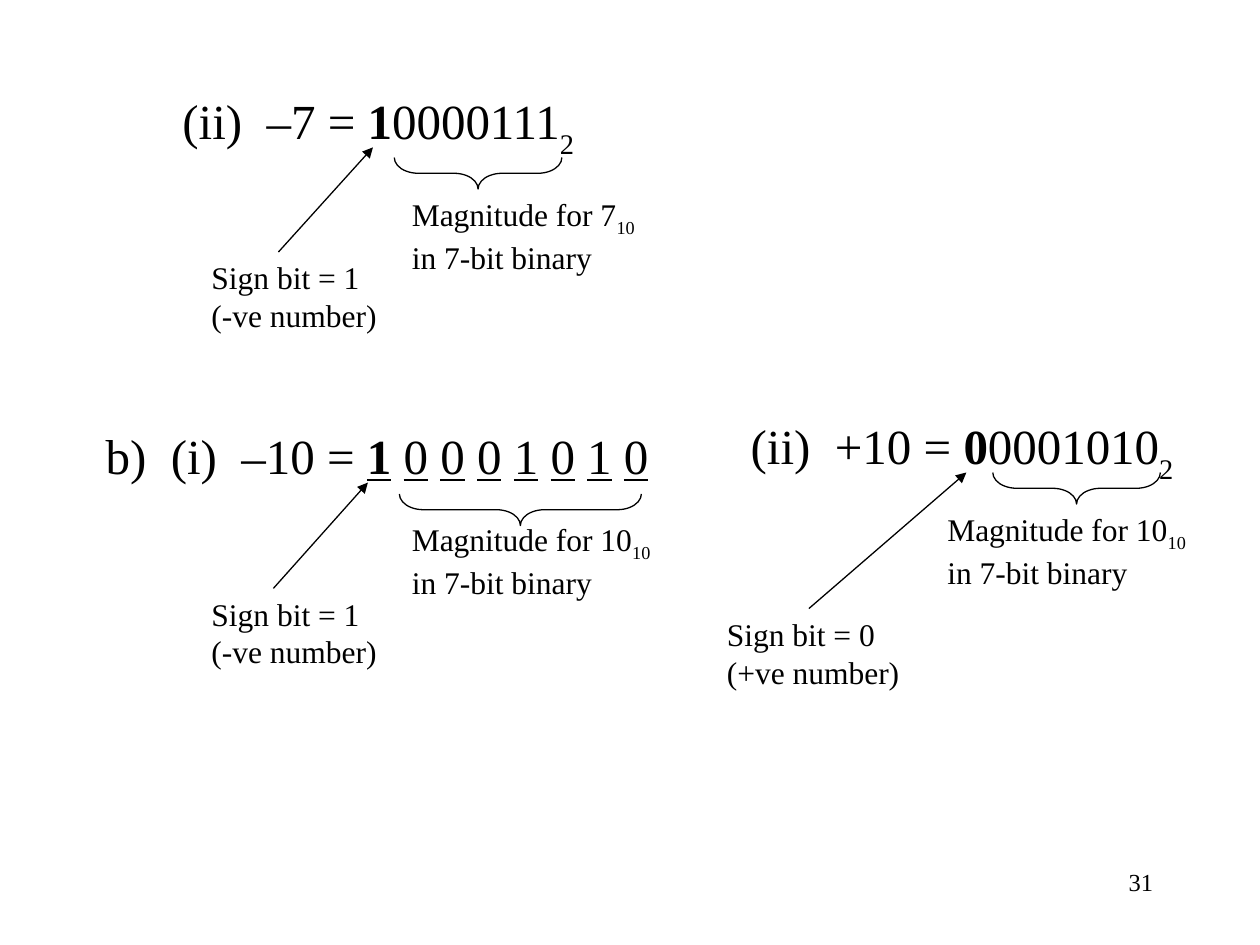
"""Builds a slide on sign-and-magnitude numbers with their sign bits and magnitudes marked."""
from lxml import etree
from pptx import Presentation
from pptx.dml.color import RGBColor
from pptx.enum import shapes, text
from pptx.oxml.ns import qn
from pptx.util import Inches, Pt

COLORS = {"ink": "000000", "paper": "FFFFFF"}
FONT = "Times New Roman"
LINE_WIDTH = 0.75
BRACE_DEPTH = 0.25
STYLES = {
    "plain": {},
    "sign": {"bold": True},
    "digit": {"underline": True},
    "sign digit": {"bold": True, "underline": True},
}
SUBSCRIPTS = {"equation sub": "-30000", "note sub": "-25000"}

spaced_bits = [("1", "sign digit")]
for bit in "0001010":
    spaced_bits += [(" ", "plain"), (bit, "digit")]

EXAMPLES = [
    {
        "equation": [("(ii)  –7 = ", "plain"), ("1", "sign"), ("0000111", "plain"), ("2", "equation sub")],
        "equation_at": (1.35, 0.67, 3.33, 0.65),
        "brace": (3.13, 1.25, 1.33),
        "arrow": (2.21, 2, 2.96, 1.17),
        "sign": "Sign bit = 1 (-ve number)",
        "sign_at": (1.58, 2, 1.58, 0.7),
        "value": "7",
        "magnitude_at": (3.17, 1.5, 2, 0.74),
    },
    {
        "equation": [("b)  (i)  –10 = ", "plain")] + spaced_bits,
        "equation_at": (0.74, 3.33, 4.51, 0.57),
        "brace": (3.17, 3.92, 1.92),
        "arrow": (2.17, 4.67, 2.92, 3.83),
        "sign": "Sign bit = 1 (-ve number)",
        "sign_at": (1.58, 4.67, 1.58, 0.7),
        "value": "10",
        "magnitude_at": (3.17, 4.08, 2.17, 0.74),
    },
    {
        "equation": [("(ii)  +10 = ", "plain"), ("0", "sign"), ("0001010", "plain"), ("2", "equation sub")],
        "equation_at": (5.86, 3.25, 3.57, 0.65),
        "brace": (7.88, 3.75, 1.33),
        "arrow": (6.42, 4.83, 7.67, 3.75),
        "sign": "Sign bit = 0 (+ve number)",
        "sign_at": (5.67, 4.83, 1.58, 0.7),
        "value": "10",
        "magnitude_at": (7.42, 4, 2.17, 0.74),
    },
]
PAGE_NUMBER = "31"
PAGE_NUMBER_AT = (7.17, 6.83, 2.08, 0.5)


def color(name):
    return RGBColor.from_string(COLORS[name])


def add_text(page, place, spans, size, wrap=True, align=text.PP_ALIGN.LEFT):
    box = page.shapes.add_textbox(*map(Inches, place))
    box.text_frame.word_wrap = wrap
    box.text_frame.auto_size = text.MSO_AUTO_SIZE.SHAPE_TO_FIT_TEXT
    para = box.text_frame.paragraphs[0]
    para.alignment = align
    for words, style in spans:
        span = para.add_run()
        span.text = words
        span.font.color.rgb = color("ink")
        formats = {"name": FONT, "size": Pt(size), **STYLES.get(style, {})}
        for attribute, value in formats.items():
            setattr(span.font, attribute, value)
        if style in SUBSCRIPTS:
            span.font._element.set("baseline", SUBSCRIPTS[style])


def set_line(shape):
    shape.line.color.rgb = color("ink")
    shape.line.width = Pt(LINE_WIDTH)


def add_brace(page, left, top, length):
    center_x, center_y = left + length / 2, top + BRACE_DEPTH / 2
    place = (center_x - BRACE_DEPTH / 2, center_y - length / 2, BRACE_DEPTH, length)
    brace = page.shapes.add_shape(shapes.MSO_SHAPE.LEFT_BRACE, *map(Inches, place))
    brace.rotation = 270
    brace.adjustments[0] = 0.76
    brace.shadow.inherit = False
    brace.fill.background()
    set_line(brace)


def add_arrow(page, ends):
    arrow = page.shapes.add_connector(shapes.MSO_CONNECTOR.STRAIGHT, *map(Inches, ends))
    set_line(arrow)
    etree.SubElement(arrow.line._get_or_add_ln(), qn("a:tailEnd"), type="triangle")
    etree.SubElement(arrow._element.spPr, qn("a:effectLst"))


def add_example(page, example):
    magnitude = [
        ("Magnitude for " + example["value"], "plain"),
        ("10", "note sub"),
        (" in 7-bit binary", "plain"),
    ]
    add_text(page, example["equation_at"], example["equation"], 28, wrap=False)
    add_brace(page, *example["brace"])
    add_arrow(page, example["arrow"])
    add_text(page, example["sign_at"], [(example["sign"], "plain")], 18)
    add_text(page, example["magnitude_at"], magnitude, 18)


def main():
    deck = Presentation()
    deck.slide_width, deck.slide_height = Inches(10), Inches(7.5)
    page = deck.slides.add_slide(deck.slide_layouts[6])
    page.background.fill.solid()
    page.background.fill.fore_color.rgb = color("paper")
    for example in EXAMPLES:
        add_example(page, example)
    add_text(page, PAGE_NUMBER_AT, [(PAGE_NUMBER, "plain")], 14, align=text.PP_ALIGN.RIGHT)
    deck.save("out.pptx")


if __name__ == "__main__":
    main()
